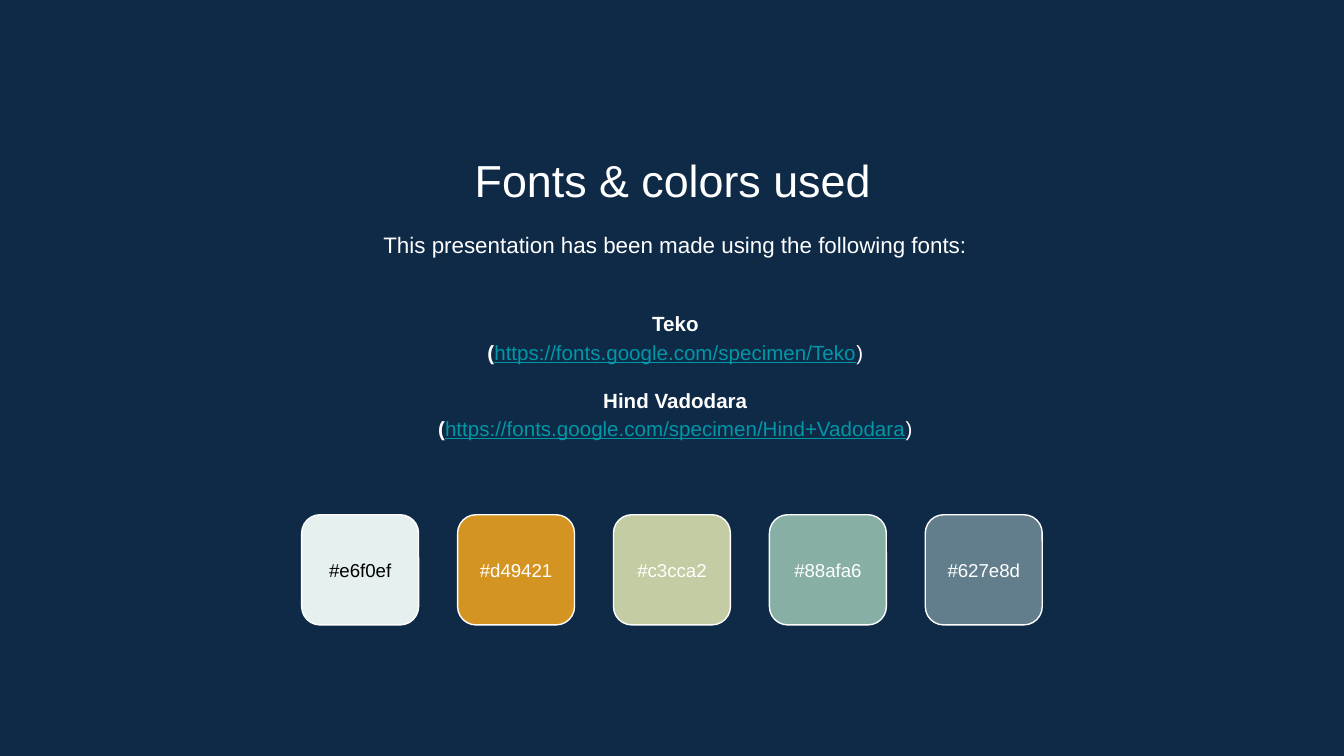
"""Build the slide that lists the fonts and colors used in the presentation."""
from dataclasses import dataclass

from pptx import Presentation
from pptx.dml.color import RGBColor
from pptx.enum.shapes import MSO_SHAPE
from pptx.enum.text import MSO_ANCHOR, PP_ALIGN
from pptx.util import Inches, Pt

CENTER = PP_ALIGN.CENTER
TOP, MIDDLE = MSO_ANCHOR.TOP, MSO_ANCHOR.MIDDLE
ROUNDED = MSO_SHAPE.ROUNDED_RECTANGLE


@dataclass(frozen=True)
class Theme:
    font: str = "Arial"
    background: str = "0E2A47"
    light: str = "FFFFFF"
    dark: str = "000000"
    link: str = "0097A7"
    title: int = 24
    intro: int = 12
    body: int = 11
    label: int = 10


THEME = Theme()


def style(font, size, color=THEME.light, bold=False, underline=False):
    font.name, font.size = THEME.font, Pt(size)
    font.bold, font.underline = bold, underline
    font.color.rgb = RGBColor.from_string(color)


def add_text_frame(left, top, width, height, anchor):
    frame = slide.shapes.add_textbox(
        Inches(left), Inches(top), Inches(width), Inches(height)).text_frame
    frame.word_wrap = True
    frame.vertical_anchor = anchor
    frame.margin_left = frame.margin_right = Inches(0.1)
    frame.margin_top = frame.margin_bottom = Inches(0.1)
    return frame


presentation = Presentation()
presentation.slide_width = Inches(10)
presentation.slide_height = Inches(10 * 9 / 16)
slide = presentation.slides.add_slide(presentation.slide_layouts[6])
slide.background.fill.solid()
slide.background.fill.fore_color.rgb = RGBColor.from_string(THEME.background)

headings = [
    ("Fonts & colors used", 1.15, 1.04, 0.53, THEME.title, 1.0),
    ("This presentation has been made using the following fonts:",
     1.17, 1.59, 0.48, THEME.intro, 1.15),
]
for wording, left, top, height, size, spacing in headings:
    heading = add_text_frame(left, top, 7.71, height, TOP).paragraphs[0]
    heading.text = wording
    heading.alignment, heading.line_spacing = CENTER, spacing
    style(heading.runs[0].font, size)

font_list = add_text_frame(1.17, 2.1, 7.71, 1.37, MIDDLE)
typefaces = [
    ("Teko", "https://fonts.google.com/specimen/Teko"),
    ("Hind Vadodara", "https://fonts.google.com/specimen/Hind+Vadodara"),
]
for index, (typeface, address) in enumerate(typefaces):
    name_line = font_list.add_paragraph() if index else font_list.paragraphs[0]
    if index:
        name_line.space_before = Pt(10.6)
    address_line = font_list.add_paragraph()
    name_line.text = typeface
    style(name_line.runs[0].font, THEME.body, bold=True)
    for line in (name_line, address_line):
        line.alignment, line.line_spacing = CENTER, 1.15
    for part, color, bold, underline in [
        ("(", THEME.light, True, False),
        (address, THEME.link, False, True),
        (")", THEME.light, False, False),
    ]:
        run = address_line.add_run()
        run.text = part
        style(run.font, THEME.body, color, bold, underline)

palette = [
    ("e6f0ef", THEME.dark),
    ("d49421", THEME.light),
    ("c3cca2", THEME.light),
    ("88afa6", THEME.light),
    ("627e8d", THEME.light),
]
swatch_width, swatch_pitch = 0.87, 1.16
first_left = (10 - swatch_width - swatch_pitch * (len(palette) - 1)) / 2
for column, (color, label_color) in enumerate(palette):
    left = first_left + swatch_pitch * column
    swatch = slide.shapes.add_shape(
        ROUNDED, Inches(left), Inches(3.83), Inches(swatch_width), Inches(0.82))
    swatch.shadow.inherit = False
    swatch.fill.solid()
    swatch.fill.fore_color.rgb = RGBColor.from_string(color.upper())
    swatch.line.color.rgb = RGBColor.from_string(THEME.light)
    swatch.line.width = Pt(0.75)
    label = add_text_frame(left, 4, swatch_width, 0.48, MIDDLE).paragraphs[0]
    label.text = f"#{color}"
    label.alignment = CENTER
    style(label.runs[0].font, THEME.label, label_color)

presentation.save("out.pptx")
